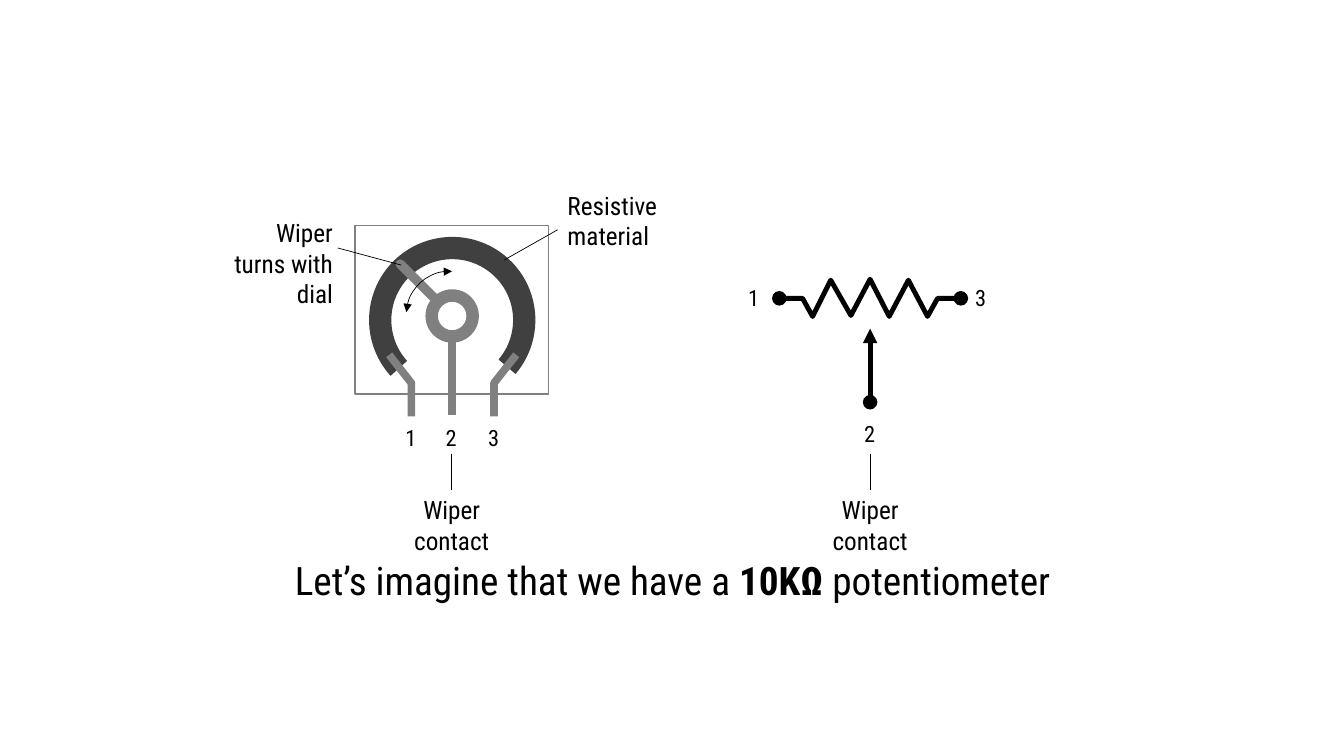
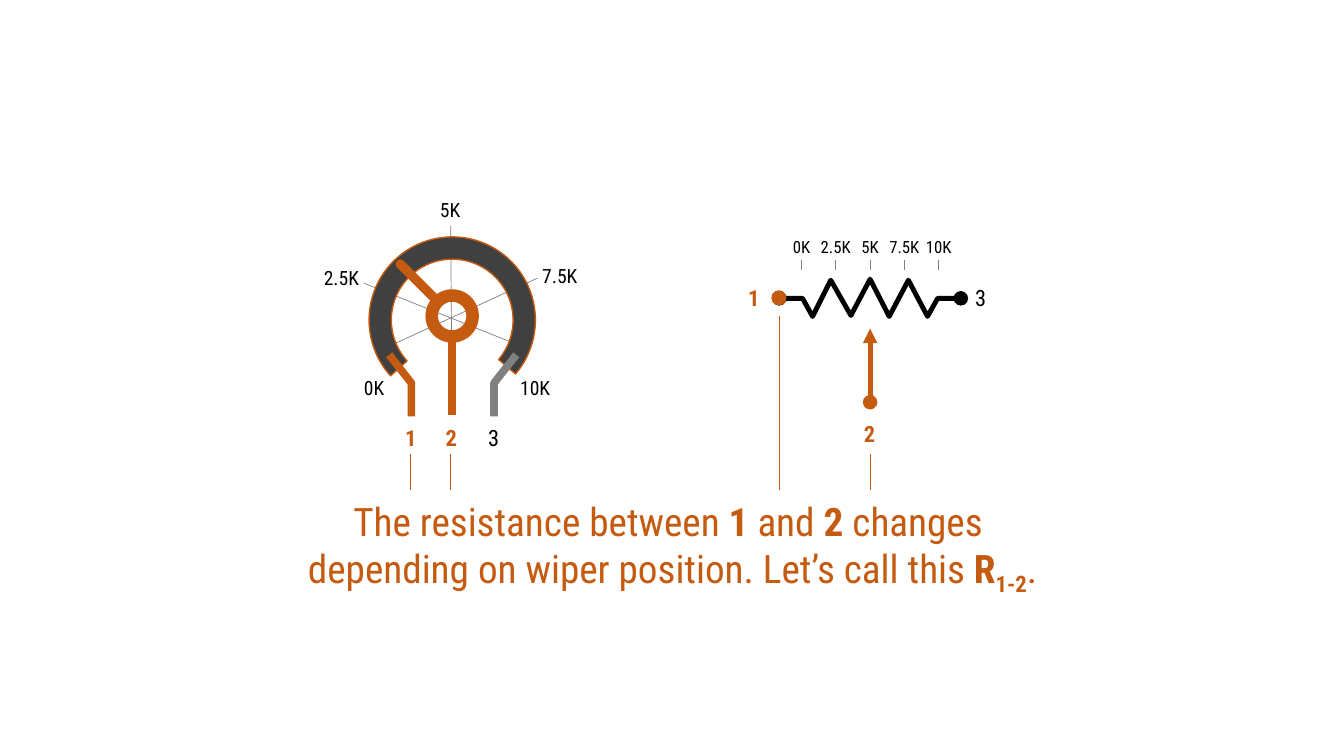
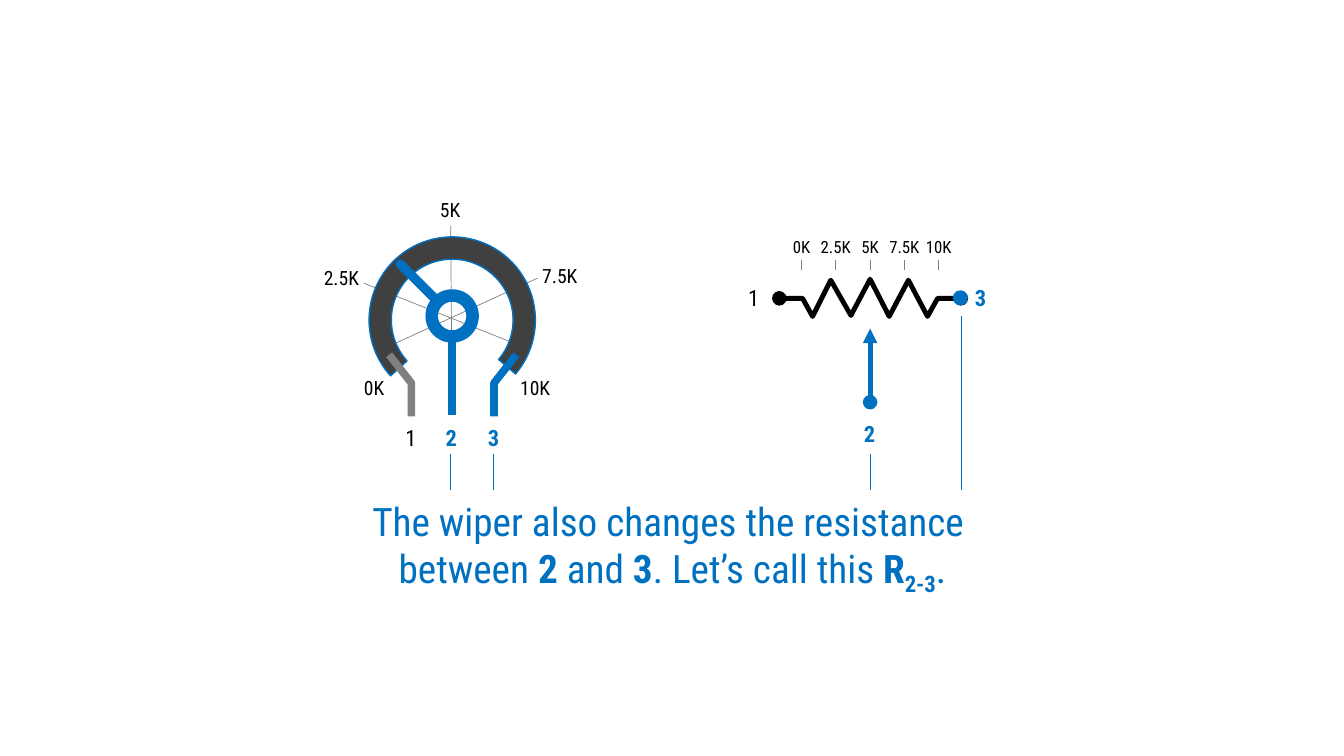
import pptx
import pptx.util
import pptx.dml.color
import pptx.enum.shapes
import pptx.enum.text
import pptx.oxml
import pptx.oxml.ns
import lxml.etree

Inches, Pt = pptx.util.Inches, pptx.util.Pt
RGB = pptx.dml.color.RGBColor
SHAPE = pptx.enum.shapes.MSO_SHAPE
ALIGN = pptx.enum.text.PP_ALIGN
qn = pptx.oxml.ns.qn

# Shared look
FONT = "Roboto Condensed"
BLACK, GREY, DARK = RGB(0, 0, 0), RGB(0x80, 0x80, 0x80), RGB(0x40, 0x40, 0x40)
ORANGE, BLUE = RGB(0xC5, 0x5A, 0x11), RGB(0x00, 0x70, 0xC0)
HAIR, CONTACT, SYMBOL, WIPER = 0.5, 5.5, 3.5, 6.75
CAPTION_LEFT, CAPTION_WIDTH = 2.61, 8.12
LEADER_TOP, LEADER_END = 4.5, 4.86

# Captions: (text, style), style is "", "bold" or "sub"
SLIDES = [
    dict(accent=None, live=(), top=5.47, height=0.57, caption=[
        ("Let’s imagine that we have a ", ""), ("10KΩ ", "bold"),
        ("potentiometer", "")]),
    dict(accent=ORANGE, live=(1, 2), top=4.88, height=1.04, caption=[
        ("The resistance between ", ""), ("1 ", "bold"), ("and ", ""),
        ("2 ", "bold"), ("changes ", ""), ("\n", ""),
        ("depending on wiper position. Let’s call this ", ""),
        ("R", "bold"), ("1-2", "sub"), (".", "")]),
    dict(accent=BLUE, live=(2, 3), top=4.88, height=1.04, caption=[
        ("The wiper also changes the resistance ", ""), ("\n", ""),
        ("between ", ""), ("2", "bold"), (" and ", ""), ("3", "bold"),
        (". Let’s call this ", ""), ("R", "bold"), ("2-3", "sub"), (".", "")]),
]

# Pins: x on the dial; x and leader top on the symbol; label centre and top
DIAL_X = {1: 4.08, 2: 4.48, 3: 4.9}
SYMBOL_PIN = {1: (7.73, 3.14), 2: (8.63, LEADER_TOP), 3: (9.53, 3.14)}
SYMBOL_LABEL = {1: (7.48, 2.77), 2: (8.63, 4.12), 3: (9.73, 2.77)}
CONTACTS = {1: [(3.86, 3.52), (4.08, 3.8), (4.08, 4.13)],
            3: [(5.12, 3.52), (4.9, 3.8), (4.9, 4.13)]}
ZIGZAG = [(9.53, 2.96), (9.3, 2.96), (9.2, 3.14), (9.01, 2.78), (8.82, 3.14),
          (8.63, 2.77), (8.44, 3.13), (8.24, 2.78), (8.06, 3.14),
          (7.96, 2.96), (7.73, 2.96)]

# Resistance scale
SCALE = ["0K", "2.5K", "5K", "7.5K", "10K"]
SCALE_X, SCALE_STEP = 7.95, 0.34
DIAL_SPOKES = [((4.48, 3.51), (4.47, 2.24)), ((5.21, 3.45), (3.61, 2.81)),
               ((5.33, 2.76), (3.76, 3.48))]
DIAL_SCALE = [(3.36, 3.68, 0.55, ALIGN.RIGHT), (3.06, 2.59, 0.6, ALIGN.RIGHT),
              (4.25, 1.91, 0.43, ALIGN.CENTER), (5.28, 2.57, 0.6, ALIGN.LEFT),
              (5.06, 3.68, 0.55, ALIGN.LEFT)]

# Notes on the first slide: text, box, alignment, leader
NOTES = [
    ("Resistive material", (5.53, 1.84, 1.18, 0.71), ALIGN.LEFT,
     ((5, 2.58), (5.53, 2.28))),
    ("Wiper turns with dial", (2.09, 2.11, 1.31, 0.71), ALIGN.RIGHT,
     ((3.35, 2.46), (3.98, 2.63))),
]


def style_line(item, color, width, head=None, tail=None, cap=None):
    item.line.color.rgb = color
    item.line.width = Pt(width)
    ln = item.line._get_or_add_ln()
    if cap:
        ln.set("cap", cap)
    for tag, end in (("a:headEnd", head), ("a:tailEnd", tail)):
        if end:
            lxml.etree.SubElement(ln, qn(tag)).set("type", end)


def add_line(slide, start, end, color, width=HAIR, **ends):
    line = slide.shapes.add_connector(
        pptx.enum.shapes.MSO_CONNECTOR.STRAIGHT,
        *(Inches(v) for v in (*start, *end)))
    style_line(line, color, width, **ends)
    lxml.etree.SubElement(line._element.spPr, qn("a:effectLst"))
    return line


def add_outline(slide, points, color, width, **ends):
    builder = slide.shapes.build_freeform(
        Inches(points[0][0]), Inches(points[0][1]))
    builder.add_line_segments(
        [(Inches(x), Inches(y)) for x, y in points[1:]], close=False)
    outline = builder.convert_to_shape()
    outline.fill.background()
    style_line(outline, color, width, **ends)
    outline.shadow.inherit = False


def add_shape(slide, preset, box, fill=None, line=None, width=1, adjust=(),
              rotation=0, **ends):
    shape = slide.shapes.add_shape(preset, *(Inches(v) for v in box))
    shape.shadow.inherit = False
    shape.rotation = rotation
    for i, value in enumerate(adjust):
        shape.adjustments[i] = value
    if fill is None:
        shape.fill.background()
    else:
        shape.fill.solid()
        shape.fill.fore_color.rgb = fill
    if line is None:
        shape.line.fill.background()
    else:
        style_line(shape, line, width, **ends)


def add_text(slide, box, parts, size, color=BLACK, align=ALIGN.CENTER,
             bold=False, side_margin=0.1):
    textbox = slide.shapes.add_textbox(*(Inches(v) for v in box))
    frame = textbox.text_frame
    frame.word_wrap = True
    frame.margin_left = frame.margin_right = Inches(side_margin)
    frame.auto_size = pptx.enum.text.MSO_AUTO_SIZE.SHAPE_TO_FIT_TEXT
    paragraph = frame.paragraphs[0]
    paragraph.alignment = align
    font = paragraph.font
    font.name, font.size, font.bold = FONT, Pt(size), bold
    font.color.rgb = color
    for text, style in [(parts, "")] if isinstance(parts, str) else parts:
        if text == "\n":
            paragraph.add_line_break()
            continue
        run = paragraph.add_run()
        run.text = text
        if style:
            run.font.bold = True
        if style == "sub":
            run.font._element.set("baseline", "-25000")
    return textbox


def add_pin_label(slide, pin, center, top, color):
    add_text(slide, (center - 0.33, top, 0.65, 0.37), str(pin), 16, color,
             bold=color != BLACK)


def draw_scales(slide):
    for start, end in DIAL_SPOKES:
        add_line(slide, start, end, GREY)
    for i, (value, place) in enumerate(zip(SCALE, DIAL_SCALE)):
        left, top, width, align = place
        add_text(slide, (left, top, width, 0.34), value, 14, align=align)
        # Symbol labels fill one step each, so they stay on one line
        x = SCALE_X + i * SCALE_STEP
        add_text(slide, (x - SCALE_STEP / 2, 2.3, SCALE_STEP, 0.3), value, 12,
                 side_margin=0)
        add_line(slide, (x, 2.58), (x, 2.68), GREY)


def draw_dial(slide, accent, live):
    part = accent or GREY
    add_shape(slide, SHAPE.BLOCK_ARC, (3.66, 2.35, 1.65, 1.65), DARK, accent,
              adjust=(57.129, 214.694, 0.134), rotation=42.6)
    for pin, points in CONTACTS.items():
        add_outline(slide, points, part if pin in live else GREY, CONTACT)
    add_line(slide, (4.48, 3.38), (4.48, 4.12), part, CONTACT)
    if not accent:  # housing
        add_shape(slide, SHAPE.RECTANGLE, (3.52, 2.24, 1.92, 1.67), line=GREY)
    add_shape(slide, SHAPE.DONUT, (4.22, 2.87, 0.53, 0.53), part,
              adjust=(0.233,))
    add_line(slide, (4.3, 2.95), (3.97, 2.62), part, WIPER, cap="rnd")


def draw_symbol(slide, accent, live):
    add_outline(slide, ZIGZAG, BLACK, SYMBOL, head="oval", tail="oval")
    add_line(slide, (8.63, 3.99), (8.63, 3.26), accent or BLACK, SYMBOL,
             head="oval", tail="triangle")
    for pin in live:
        if pin != 2:
            x = SYMBOL_PIN[pin][0]
            add_shape(slide, SHAPE.OVAL, (x - 0.08, 2.88, 0.15, 0.15), accent)


def draw_notes(slide):
    # Turning direction of the wiper
    add_shape(slide, SHAPE.ARC, (4.03, 2.69, 0.86, 0.86), line=BLACK,
              width=HAIR, rotation=273.2, head="triangle", tail="triangle")
    for text, box, align, leader in NOTES:
        add_line(slide, *leader, BLACK)
        add_text(slide, box, text, 18, align=align)
    for x in (DIAL_X[2], SYMBOL_PIN[2][0]):
        note = add_text(slide, (x - 0.74, LEADER_END, 1.48, 0.4),
                        "Wiper contact", 18)
        leader = add_line(slide, (x, LEADER_TOP), (x, LEADER_END), BLACK)
        leader.end_connect(note, 0)


def build_slide(deck, accent, live, top, height, caption):
    slide = deck.slides.add_slide(deck.slide_layouts[6])
    if accent:
        draw_scales(slide)
    draw_dial(slide, accent, live)
    draw_symbol(slide, accent, live)
    if not accent:
        draw_notes(slide)
    # Pin numbers and the leaders of the live pins
    for pin, x in DIAL_X.items():
        color = accent if pin in live else BLACK
        add_pin_label(slide, pin, x, 4.16, color)
        add_pin_label(slide, pin, *SYMBOL_LABEL[pin], color)
        if pin in live:
            for start in ((x - 0.01, LEADER_TOP), SYMBOL_PIN[pin]):
                add_line(slide, start, (start[0], LEADER_END), accent)
    add_text(slide, (CAPTION_LEFT, top, CAPTION_WIDTH, height), caption, 28,
             accent or BLACK)


def main():
    deck = pptx.Presentation()
    deck.slide_width, deck.slide_height = Inches(13.33), Inches(7.5)
    for content in SLIDES:
        build_slide(deck, **content)
    deck.save("out.pptx")


if __name__ == "__main__":
    main()
